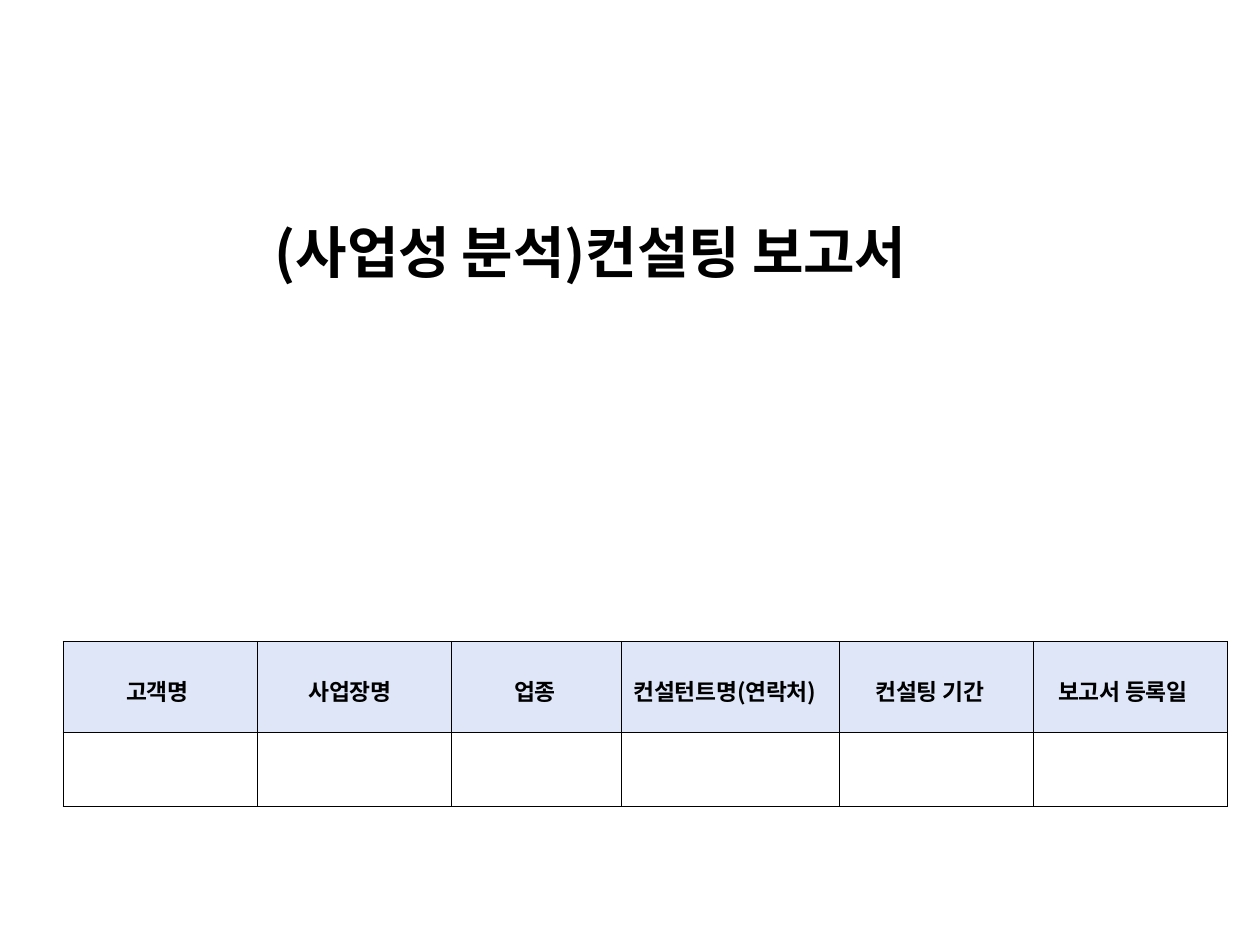
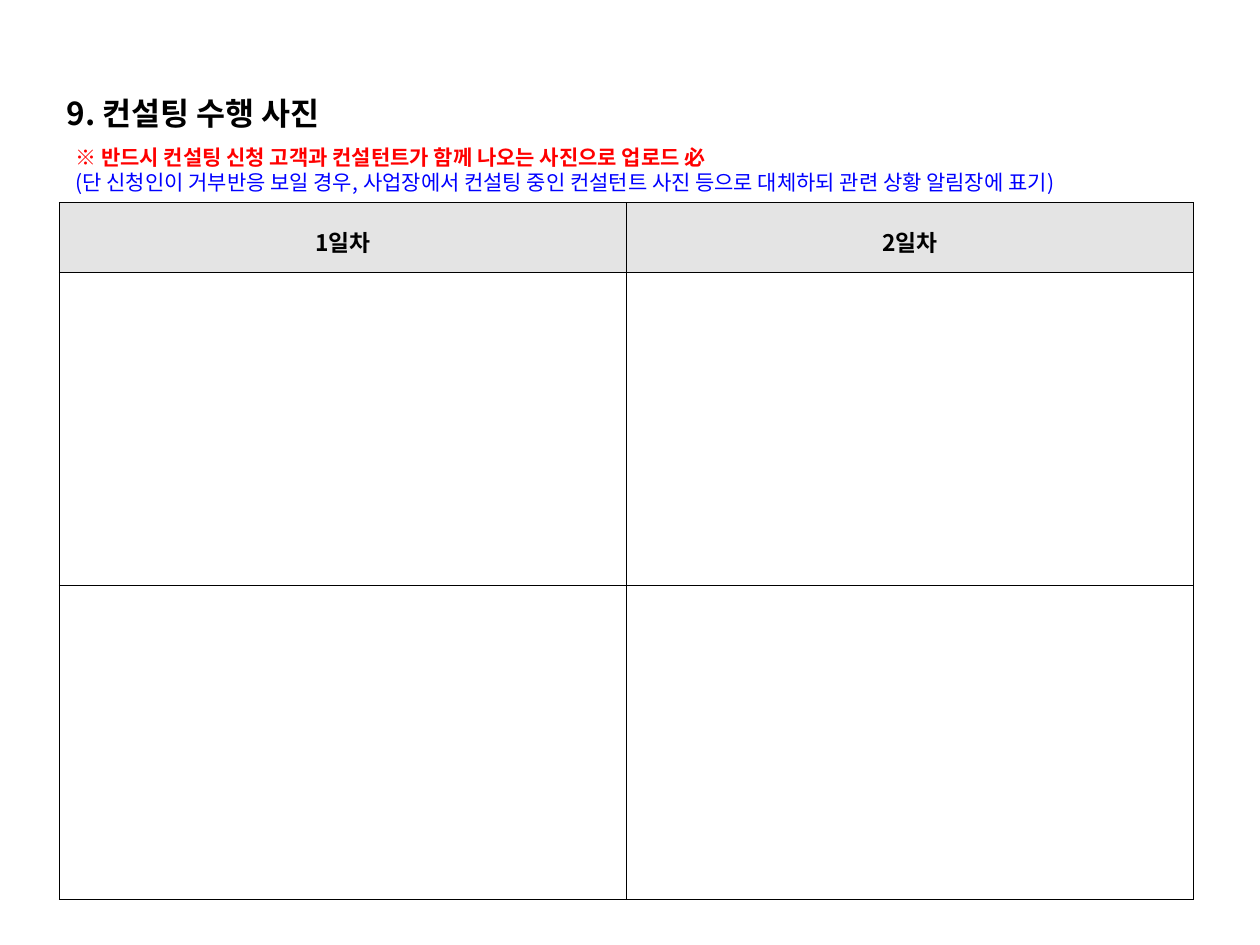
from lxml import etree
from pptx import Presentation
from pptx.dml.color import RGBColor
from pptx.enum.text import MSO_ANCHOR, MSO_AUTO_SIZE, PP_ALIGN
from pptx.oxml.ns import qn
from pptx.util import Inches, Pt

TOP, MIDDLE = MSO_ANCHOR.TOP, MSO_ANCHOR.MIDDLE
LEFT, CENTER = PP_ALIGN.LEFT, PP_ALIGN.CENTER
NO_FIT = MSO_AUTO_SIZE.NONE

FONT = "Noto Sans CJK KR"
BLACK, RED, BLUE = "000000", "FF0000", "0000FF"
HEADER_BLUE, HEADER_GRAY = "DFE6F7", "E4E4E4"
TITLE_LEADING = 1.3
HEADER_SIZE = 13


def color(hex_code):
    return RGBColor.from_string(hex_code)


def format_paragraph(paragraph, size, hex_code=BLACK, bold=True, spacing=0):
    """Style every run; spacing is in points between letters."""
    for run in paragraph.runs:
        run.font.size = Pt(size)
        run.font.name = FONT
        run.font.bold = bold
        run.font.color.rgb = color(hex_code)
        properties = run._r.get_or_add_rPr()
        properties.set("spc", str(round(spacing * 100)))
        etree.SubElement(properties, qn("a:ea"), typeface=FONT)


def prepare_frame(frame, top_inset):
    frame.word_wrap = True
    frame.auto_size = NO_FIT
    frame.vertical_anchor = TOP
    frame.margin_left = frame.margin_right = frame.margin_bottom = 0
    frame.margin_top = Inches(top_inset)


def place(shape, box):
    shape.left, shape.top, shape.width, shape.height = map(Inches, box)


def add_title(slide, box, text, size, spacing=0):
    title = slide.shapes.title
    place(title, box)
    frame = title.text_frame
    prepare_frame(frame, 0.01)
    frame.text = text
    paragraph = frame.paragraphs[0]
    paragraph.alignment = LEFT
    paragraph.line_spacing = Pt(size * TITLE_LEADING)
    format_paragraph(paragraph, size, spacing=spacing)


def add_notice(slide, box, lines):
    frame = slide.shapes.add_textbox(*map(Inches, box)).text_frame
    prepare_frame(frame, 0.03)
    frame.text = "\n".join(text for text, _, _ in lines)
    for paragraph, (_, hex_code, bold) in zip(frame.paragraphs, lines):
        paragraph.line_spacing = Pt(14.3)
        format_paragraph(paragraph, 12, hex_code, bold)


def outline_cell(cell):
    properties = cell._tc.get_or_add_tcPr()
    for side in ("a:lnL", "a:lnR", "a:lnT", "a:lnB"):
        line = etree.SubElement(properties, qn(side), w=str(Pt(0.5)))
        fill = etree.SubElement(line, qn("a:solidFill"))
        etree.SubElement(fill, qn("a:srgbClr"), val=BLACK)


def add_form(slide, origin, columns, rows, headers, header_fill, align):
    """Draw a header row above empty cells; headers pair a label with its left inset."""
    size = sum(columns), sum(rows)
    table = slide.shapes.add_table(
        len(rows), len(columns), *map(Inches, origin + size)).table
    table.horz_banding = table.first_row = False
    for column, width in zip(table.columns, columns):
        column.width = Inches(width)
    for row, height in zip(table.rows, rows):
        row.height = Inches(height)
    for cell in table.iter_cells():
        outline_cell(cell)
        cell.fill.background()
    for cell, (label, inset) in zip(table.rows[0].cells, headers):
        cell.fill.solid()
        cell.fill.fore_color.rgb = color(header_fill)
        cell.vertical_anchor = MIDDLE
        cell.margin_left = Inches(inset)
        cell.margin_right = cell.margin_bottom = 0
        cell.margin_top = Inches(0.06)
        cell.text_frame.text = label
        paragraph = cell.text_frame.paragraphs[0]
        paragraph.alignment = align
        format_paragraph(paragraph, HEADER_SIZE, spacing=-0.15)


def build_cover(slide):
    add_title(slide, (2.18, 1.67, 5.6, 0.56),
              "(사업성 분석)컨설팅 보고서", 32, spacing=-0.2)
    # Client and report details
    add_form(slide, (0.5, 5.09), (1.54, 1.54, 1.35, 1.73, 1.54, 1.54), (0.72, 0.59),
             (("고객명", 0.5), ("사업장명", 0.41), ("업종", 0.5),
              ("컨설턴트명(연락처)", 0.1), ("컨설팅 기간", 0.29),
              ("보고서 등록일", 0.2)), HEADER_BLUE, LEFT)


def build_photo_page(slide):
    add_title(slide, (0.53, 0.71, 2.6, 0.33), "9. 컨설팅 수행 사진", 18)
    # Upload rules
    add_notice(slide, (0.6, 1.12, 8.72, 0.43), (
        ("※ 반드시 컨설팅 신청 고객과 컨설턴트가 함께 나오는 사진으로 업로드 必", RED, True),
        ("(단 신청인이 거부반응 보일 경우, 사업장에서 컨설팅 중인 컨설턴트 사진 등으로 "
         "대체하되 관련 상황 알림장에 표기)", BLUE, False)))
    # Photo slots, one column per day
    add_form(slide, (0.47, 1.61), (4.5, 4.5), (0.55, 2.49, 2.49),
             (("1일차", 0), ("2일차", 0)), HEADER_GRAY, CENTER)


def main():
    deck = Presentation()
    deck.slide_width, deck.slide_height = Inches(10), Inches(7.5)
    title_only = deck.slide_layouts[5]
    for build in (build_cover, build_photo_page):
        build(deck.slides.add_slide(title_only))
    deck.save("out.pptx")


if __name__ == "__main__":
    main()
